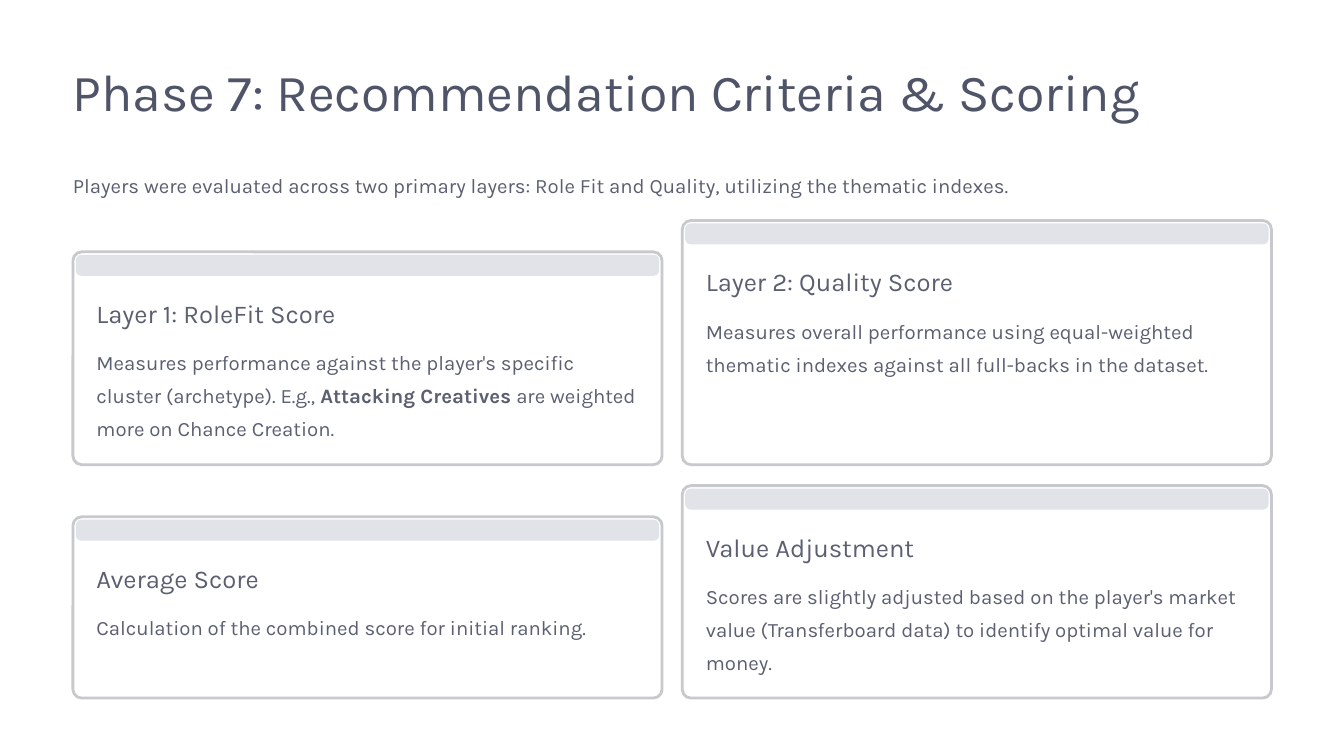
import pptx
import pptx.dml.color
import pptx.enum.shapes
import pptx.util

Pt = pptx.util.Pt
FONT = "Karla"
COLOURS = {"title": "505468", "body": "5B5F71", "card": "FFFFFF", "border": "C8C9CF", "bar": "E2E3E9"}
MARGIN, CARD_WIDTH, COLUMN_STEP = 62.5, 505, 522.3
TITLE = "Phase 7: Recommendation Criteria & Scoring"
INTRO = "Players were evaluated across two primary layers: Role Fit and Quality, utilizing the thematic indexes."
CARDS = [
    (0, 215.9, 398.3, "Layer 1: RoleFit Score",
     ["Measures performance against the player's specific cluster (archetype). E.g., ",
      "Attacking Creatives", " are weighted more on Chance Creation."]),
    (1, 189, 398.3, "Layer 2: Quality Score",
     ["Measures overall performance using equal-weighted thematic indexes against all full-backs in the dataset."]),
    (0, 443, 598.4, "Average Score",
     ["Calculation of the combined score for initial ranking."]),
    (1, 416.3, 598.4, "Value Adjustment",
     ["Scores are slightly adjusted based on the player's market value (Transferboard data) "
      "to identify optimal value for money."]),
]


def colour(name):
    """Return the named palette colour."""
    return pptx.dml.color.RGBColor.from_string(COLOURS[name])


def add_text(slide, box, parts, size, spacing, colour_name="body", wrap=True):
    """Add one paragraph of text, with every second part in bold."""
    text_frame = slide.shapes.add_textbox(*map(Pt, box)).text_frame
    text_frame.margin_left = text_frame.margin_right = 0
    text_frame.margin_top = text_frame.margin_bottom = 0
    text_frame.word_wrap = wrap
    paragraph = text_frame.paragraphs[0]
    paragraph.line_spacing = Pt(spacing)
    for index, part in enumerate(parts):
        run = paragraph.add_run()
        run.text = part
        run.font.name = FONT
        run.font.size = Pt(size)
        run.font.bold = index % 2 == 1
        run.font.color.rgb = colour(colour_name)


def add_panel(slide, box, radius, fill, border=None):
    """Add a rounded rectangle with an optional border."""
    shape = slide.shapes.add_shape(pptx.enum.shapes.MSO_SHAPE.ROUNDED_RECTANGLE, *map(Pt, box))
    shape.adjustments[0] = radius / min(box[2:])
    shape.shadow.inherit = False
    shape.fill.solid()
    shape.fill.fore_color.rgb = colour(fill)
    if border:
        shape.line.color.rgb = colour(border)
        shape.line.width = Pt(2.4)
    else:
        shape.line.fill.background()


def add_card(slide, box, heading, parts):
    """Add a card with a top bar, a heading and a body text."""
    left, top, width, height = box
    text_left, text_width = left + 20.2, width - 40.4
    add_panel(slide, box, 7.5, "card", "border")
    add_panel(slide, (left + 2.5, top + 2.5, width - 5, 18), 4.7, "bar")
    add_text(slide, (text_left, top + 38.1, text_width, 28), [heading], 22, 27.5, wrap=False)
    add_text(slide, (text_left, top + 76.6, text_width, height - 97), parts, 17.5, 28.5)


def add_header(slide, box):
    """Add the title and the introduction."""
    left, top, width, height = box
    add_text(slide, (left, top, width, 55.5), [TITLE], 44.5, 55.5, "title", wrap=False)
    add_text(slide, (left, top + height - 28.5, width, 28.5), [INTRO], 17.5, 28.5, wrap=False)


def main():
    """Build and save the slide."""
    presentation = pptx.Presentation()
    presentation.slide_width, presentation.slide_height = Pt(1152), Pt(648)
    slide = presentation.slides.add_slide(presentation.slide_layouts[6])
    add_header(slide, (MARGIN, 49, 1027, 120))
    for column, top, bottom, heading, parts in CARDS:
        box = (MARGIN + column * COLUMN_STEP, top, CARD_WIDTH, bottom - top)
        add_card(slide, box, heading, parts)
    presentation.save("out.pptx")


if __name__ == "__main__":
    main()
